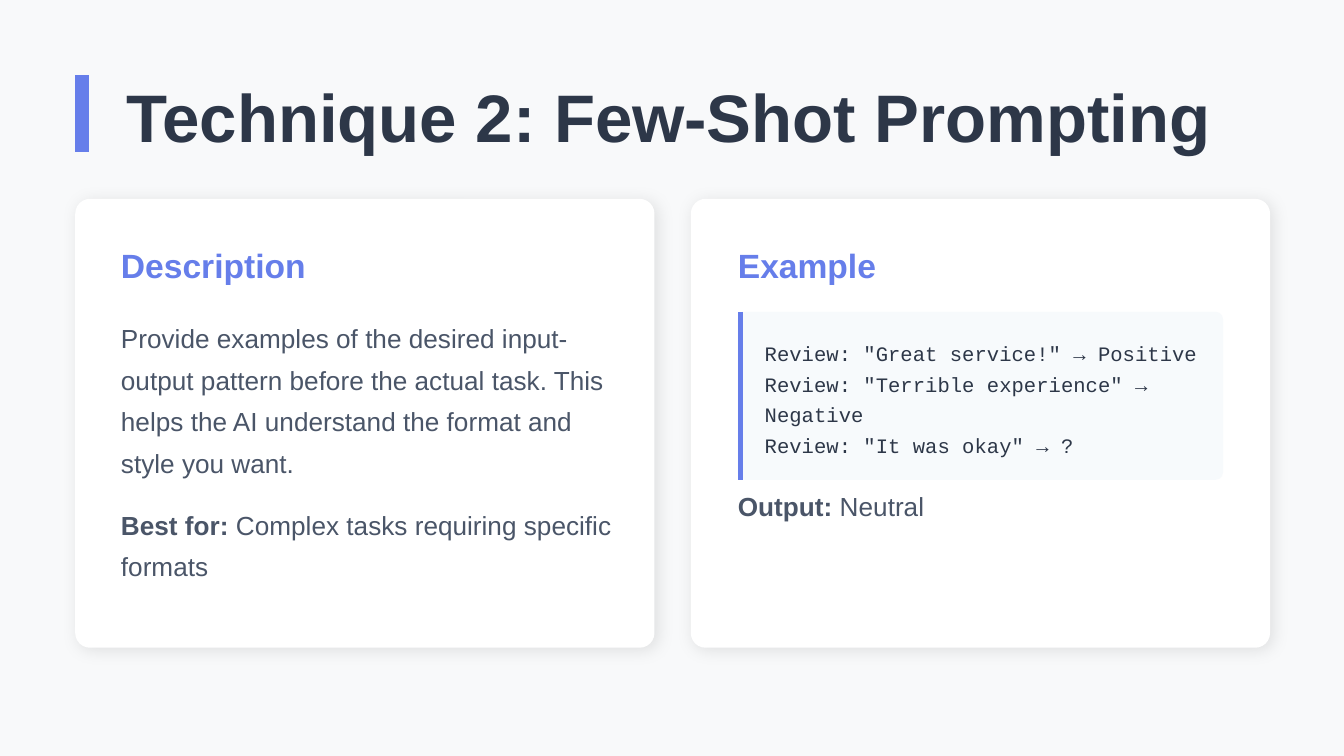
"""Build the slide that explains few-shot prompting."""
from lxml import etree
from pptx import Presentation
from pptx import util as u
from pptx.dml.color import RGBColor
from pptx.enum import shapes, text
from pptx.oxml import ns

BACKGROUND = RGBColor(0xF8, 0xF9, 0xFA)
ACCENT = RGBColor(0x66, 0x7E, 0xEA)
DARK = RGBColor(0x2D, 0x37, 0x48)
BODY = RGBColor(0x4A, 0x55, 0x68)
WHITE = RGBColor(0xFF, 0xFF, 0xFF)
CODE_FILL = RGBColor(0xF7, 0xFA, 0xFC)


class SlideBuilder:
    def __init__(self, slide):
        self.slide = slide
        self.font = "Arial"
        self.code_font = "Courier New"
        slide.background.fill.solid()
        slide.background.fill.fore_color.rgb = BACKGROUND

    def panel(self, left, top, width, height, radius, fill):
        shape = self.slide.shapes.add_shape(
            shapes.MSO_SHAPE.ROUNDED_RECTANGLE,
            u.Inches(left), u.Inches(top), u.Inches(width), u.Inches(height))
        shape.adjustments[0] = radius
        shape.fill.solid()
        shape.fill.fore_color.rgb = fill
        shape.line.fill.background()
        shape.shadow.inherit = False
        return shape

    def card(self, left, top, width, height):
        shape = self.panel(left, top, width, height, 0.033, WHITE)
        effects = shape.element.spPr.find(ns.qn("a:effectLst"))
        shadow = etree.SubElement(
            effects, ns.qn("a:outerShdw"), blurRad=str(u.Pt(9)),
            dist=str(u.Pt(2.1)), dir=str(45 * 60000), algn="bl", rotWithShape="0")
        color = etree.SubElement(shadow, ns.qn("a:srgbClr"), val="000000")
        etree.SubElement(color, ns.qn("a:alpha"), val="10000")

    def bar(self, x, top, height, weight):
        line = self.slide.shapes.add_connector(
            shapes.MSO_CONNECTOR.STRAIGHT,
            u.Inches(x), u.Inches(top), u.Inches(x), u.Inches(top + height))
        line.line.color.rgb = ACCENT
        line.line.width = u.Pt(weight)
        etree.SubElement(line.element.spPr, ns.qn("a:effectLst"))

    def text(self, left, top, width, height, runs, size, color,
             font=None, spacing=None, after=0):
        box = self.slide.shapes.add_textbox(
            u.Inches(left), u.Inches(top), u.Inches(width), u.Inches(height))
        frame = box.text_frame
        frame.word_wrap = True
        frame.vertical_anchor = text.MSO_ANCHOR.TOP
        frame.margin_left = frame.margin_right = 0
        frame.margin_top = frame.margin_bottom = 0
        paragraph = frame.paragraphs[0]
        paragraph.space_after = u.Pt(after)
        if spacing:
            paragraph.line_spacing = u.Pt(spacing)
        for words, bold in runs:
            run = paragraph.add_run()
            run.text = words
            run.font.name = font or self.font
            run.font.size = u.Pt(size)
            run.font.bold = bold
            run.font.color.rgb = color

    def heading(self, left, top, words):
        self.text(left, top, 3.68, 0.29, [(words, True)], 18, ACCENT, after=15)

    def body(self, left, top, height, *runs):
        self.text(left, top, 3.68, height, runs, 14, BODY, spacing=22.4, after=10)

    def code(self, left, top, lines):
        self.panel(left, top, 3.61, 1.25, 0.044, CODE_FILL)
        self.bar(left + 0.02, top, 1.25, 3)
        line_top = top + 0.17
        for words, rows in lines:
            height = 0.23 * rows
            self.text(left + 0.2, line_top, 3.3, height, [(words, False)],
                      11, DARK, font=self.code_font, spacing=16.5)
            line_top += height


def main():
    presentation = Presentation()
    presentation.slide_width = u.Inches(10)
    presentation.slide_height = u.Inches(10 * 9 / 16)
    builder = SlideBuilder(
        presentation.slides.add_slide(presentation.slide_layouts[6]))

    builder.bar(0.61, 0.56, 0.57, 7.5)
    builder.text(0.94, 0.56, 8.68, 0.57,
                 [("Technique 2: Few-Shot Prompting", True)], 36, DARK)

    description_left, example_left = 0.9, 5.49
    builder.card(0.56, 1.48, 4.31, 3.34)
    builder.heading(description_left, 1.82, "Description")
    builder.body(description_left, 2.32, 1.24, (
        "Provide examples of the desired input-output pattern before the "
        "actual task. This helps the AI understand the format and style "
        "you want.", False))
    builder.body(description_left, 3.71, 0.62, ("Best for:", True),
                 (" Complex tasks requiring specific formats", False))

    builder.card(5.14, 1.48, 4.31, 3.34)
    builder.heading(example_left, 1.82, "Example")
    builder.code(example_left, 2.32, [
        ('Review: "Great service!" → Positive', 1),
        ('Review: "Terrible experience" → Negative', 2),
        ('Review: "It was okay" → ?', 1)])
    builder.body(example_left, 3.57, 0.31, ("Output:", True), (" Neutral", False))

    presentation.save("out.pptx")


if __name__ == "__main__":
    main()
